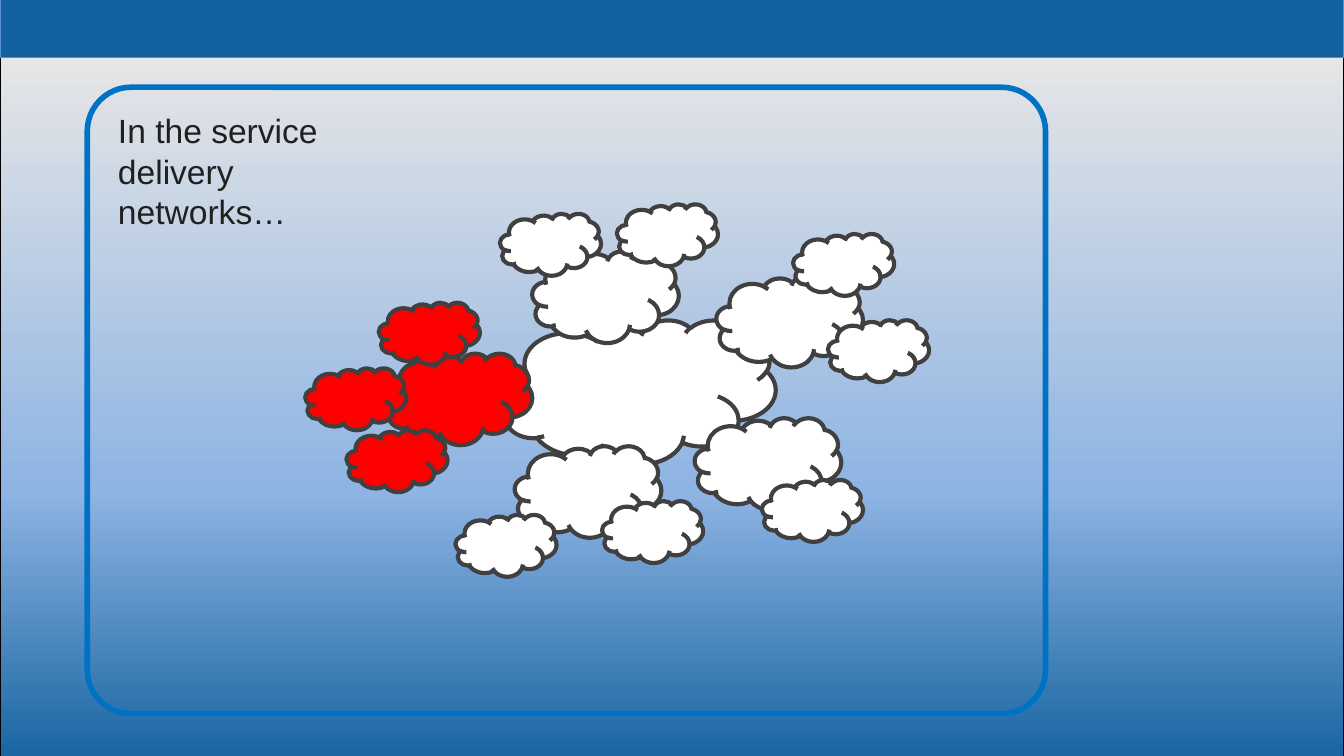
from copy import deepcopy
from typing import NamedTuple, Optional

from pptx import Presentation
from pptx.dml.color import RGBColor
from pptx.enum.shapes import MSO_SHAPE
from pptx.enum.text import MSO_AUTO_SIZE, PP_ALIGN
from pptx.oxml.ns import qn
from pptx.util import Cm, Pt

WHITE = "FFFFFF"
RED = "FF0000"
DARK_BLUE = "13629F"
CLOUD_OUTLINE = "404040"


class Box(NamedTuple):
    left: float
    top: float
    width: float
    height: float


class CloudSize(NamedTuple):
    width: float
    height: float


class Cloud(NamedTuple):
    left: float
    top: float
    size: CloudSize
    fill: str = WHITE


CORE = CloudSize(5.21, 2.72)
HUB = CloudSize(2.77, 1.73)
LEAF = CloudSize(1.91, 1.17)

CLOUDS = [
    Cloud(9.45, 6.05, CORE),
    Cloud(7.29, 6.68, HUB, RED),
    Cloud(5.77, 6.96, LEAF, RED),
    Cloud(9.73, 8.43, HUB),
    Cloud(6.55, 8.13, LEAF, RED),
    Cloud(13.13, 7.9, HUB),
    Cloud(13.54, 5.21, HUB),
    Cloud(10.06, 4.75, HUB),
    Cloud(7.16, 5.72, LEAF, RED),
    Cloud(9.45, 4.04, LEAF),
    Cloud(11.66, 3.86, LEAF),
    Cloud(14.99, 4.42, LEAF),
    Cloud(15.65, 6.05, LEAF),
    Cloud(14.4, 9.07, LEAF),
    Cloud(11.38, 9.47, LEAF),
    Cloud(8.61, 9.73, LEAF),
]


def set_color(color_format, value: str) -> None:
    color_format.rgb = RGBColor.from_string(value)


def add_shape(slide, kind, box: Box, line: str, line_width: float,
              fill: Optional[str] = None):
    shape = slide.shapes.add_shape(kind, *map(Cm, box))
    shape.shadow.inherit = False
    if fill:
        shape.fill.solid()
        set_color(shape.fill.fore_color, fill)
    else:
        shape.fill.background()
    set_color(shape.line.color, line)
    shape.line.width = Pt(line_width)
    return shape


def set_vertical_gradient(shape, stops: list[tuple[float, str]]) -> None:
    shape.fill.gradient()
    shape.fill.gradient_angle = 270
    stop_list = shape.element.spPr.find(qn("a:gradFill")).find(qn("a:gsLst"))
    while len(stop_list) < len(stops):
        stop_list.append(deepcopy(stop_list[-1]))
    for stop, (position, color) in zip(shape.fill.gradient_stops, stops):
        stop.position = position
        set_color(stop.color, color)


def add_cloud(slide, cloud: Cloud) -> None:
    box = Box(cloud.left, cloud.top, *cloud.size)
    add_shape(slide, MSO_SHAPE.CLOUD, box, CLOUD_OUTLINE, 2.25, cloud.fill)


def add_text(slide, text: str, *, box: Box, font: str, size: float, color: str) -> None:
    text_frame = slide.shapes.add_textbox(*map(Cm, box)).text_frame
    text_frame.word_wrap = False
    text_frame.auto_size = MSO_AUTO_SIZE.SHAPE_TO_FIT_TEXT
    paragraph = text_frame.paragraphs[0]
    paragraph.text = text
    paragraph.alignment = PP_ALIGN.LEFT
    for run in paragraph.runs:
        run.font.name = font
        run.font.size = Pt(size)
        set_color(run.font.color, color)


def main() -> None:
    presentation = Presentation()
    presentation.slide_width = Cm(25.4)
    presentation.slide_height = Cm(14.29)
    slide = presentation.slides.add_slide(presentation.slide_layouts[6])

    backdrop = add_shape(slide, MSO_SHAPE.RECTANGLE, Box(0, 1.04, 25.4, 13.51),
                         "000000", 0.75)
    set_vertical_gradient(backdrop, [(0, "E6E6E6"), (0.61, "8EB4E3"), (1, DARK_BLUE)])
    add_shape(slide, MSO_SHAPE.RECTANGLE, Box(0, -0.05, 25.4, 1.14),
              "558ED5", 0.75, DARK_BLUE)

    for cloud in CLOUDS:
        add_cloud(slide, cloud)

    frame = add_shape(slide, MSO_SHAPE.ROUNDED_RECTANGLE,
                      Box(1.65, 1.65, 18.11, 11.84), "0072C6", 3)
    frame.adjustments[0] = 0.07
    add_text(slide, "In the service\ndelivery\nnetworks…",
             box=Box(1.98, 1.96, 4.32, 2.57), font="Arial", size=18, color="202020")

    presentation.save("out.pptx")


if __name__ == "__main__":
    main()
